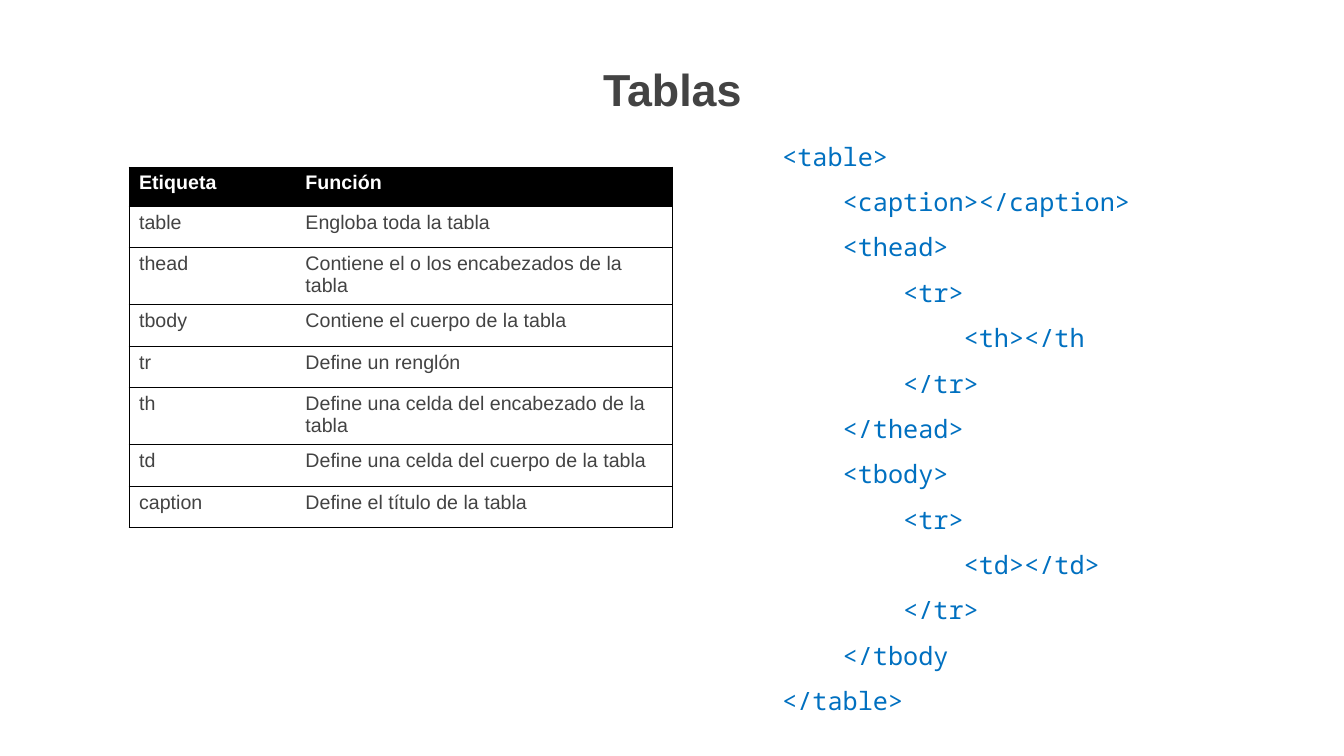
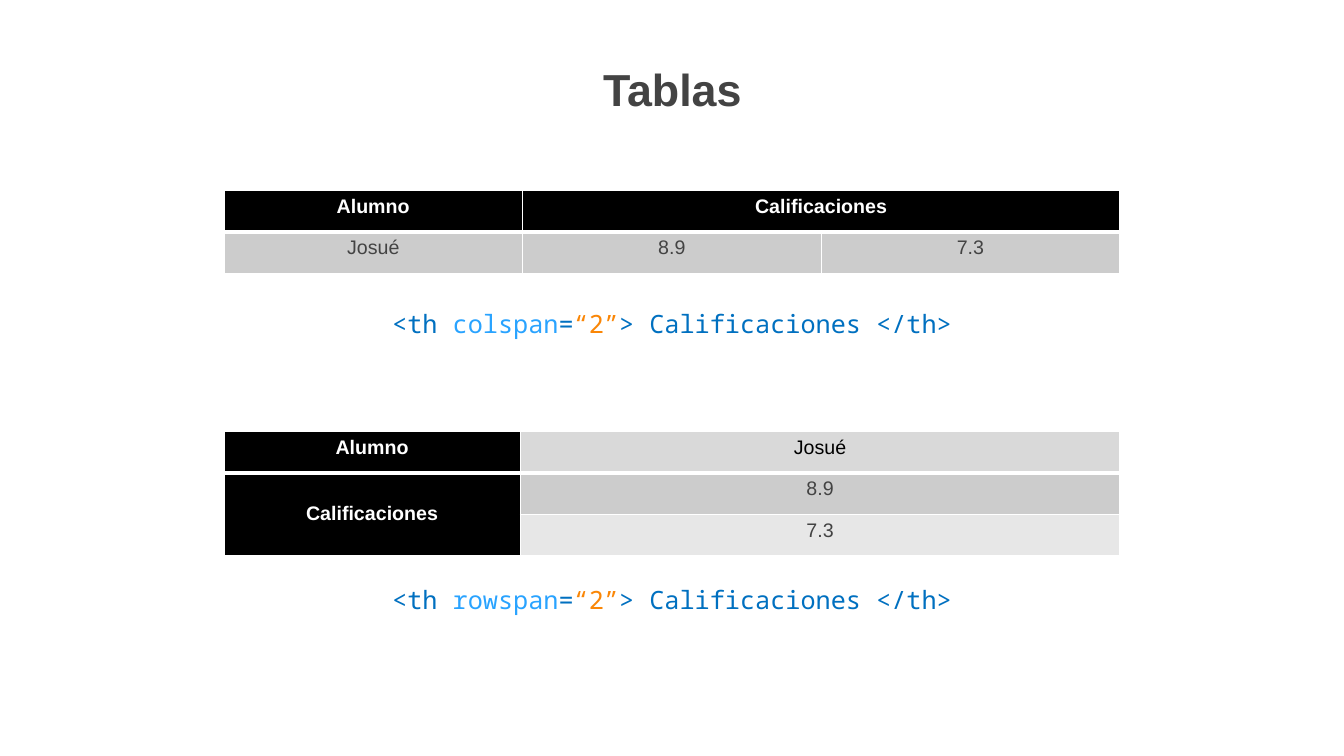
from dataclasses import dataclass

from lxml import etree
from pptx import Presentation
from pptx import util as u
from pptx.dml import color
from pptx.enum import text
from pptx.oxml import ns

WIDTH, HEIGHT = u.Inches(13.33), u.Inches(7.5)
PLAIN_TABLE = "{2D5ABB26-0587-4C30-8999-92F81FD0307C}"


@dataclass(frozen=True)
class Theme:
    sans: str = "Arial"
    mono: str = "Noto Sans Mono"
    title_size: int = 32
    code_size: int = 18
    cell_size: int = 14
    ink: str = "434343"
    black: str = "000000"
    white: str = "FFFFFF"
    tag: str = "0070C0"
    attribute: str = "29A3FF"
    value: str = "FA8606"
    band: str = "CCCCCC"
    light_band: str = "E7E7E7"
    soft: str = "D9D9D9"


THEME = Theme()


# Grid: one hundred columns by one hundred rows
def across(columns):
    return round(WIDTH * columns / 100)


def down(rows):
    return round(HEIGHT * rows / 100)


# Text
def write(para, *spans, font=THEME.sans, size=THEME.cell_size, ink=THEME.ink,
          bold=False, align=text.PP_ALIGN.LEFT, spacing=1.0, indent=0):
    """Fill a paragraph; a span is a string or a (string, colour) pair."""
    para.alignment = align
    para.line_spacing = spacing
    if indent:
        para._p.get_or_add_pPr().set("marL", str(u.Inches(indent)))
    for item in spans:
        words, tint = (item, ink) if isinstance(item, str) else item
        span = para.add_run()
        span.text = words
        span.font.name = font
        span.font.size = u.Pt(size)
        span.font.bold = bold
        span.font.color.rgb = color.RGBColor.from_string(tint)


def add_box(page, left, top, width, height):
    box = page.shapes.add_textbox(across(left), down(top), across(width), down(height))
    box.text_frame.word_wrap = True
    return box.text_frame


def add_title(page, words):
    frame = add_box(page, 21.53, 6.8, 57, 18.4)
    frame.margin_left = frame.margin_right = u.Inches(0.1)
    frame.margin_top = frame.margin_bottom = u.Inches(0.1)
    write(frame.paragraphs[0], words, size=THEME.title_size, bold=True,
          align=text.PP_ALIGN.CENTER)


def write_code(para, *spans, **options):
    write(para, *spans, font=THEME.mono, size=THEME.code_size, ink=THEME.tag,
          spacing=1.5, **options)


def add_code(page, lines):
    frame = add_box(page, 57.46, 16, 27.53, 79.47)
    for number, (level, tag) in enumerate(lines):
        para = frame.add_paragraph() if number else frame.paragraphs[0]
        write_code(para, tag, indent=0.6 * level)


def add_span_example(page, top, attribute):
    frame = add_box(page, 11.25, top, 77.5, 6.8)
    write_code(frame.paragraphs[0], "<th ", (attribute, THEME.attribute), "=",
               ("“2”", THEME.value), "> Calificaciones </th>",
               align=text.PP_ALIGN.CENTER)


# Tables
def add_table(page, left, top, columns, rows):
    frame = page.shapes.add_table(len(rows), len(columns), across(left), down(top),
                                  across(sum(columns)), down(sum(rows)))
    table = frame.table
    table.first_row = table.horz_banding = False
    table._tbl.tblPr.find(ns.qn("a:tableStyleId")).text = PLAIN_TABLE
    for column, width in zip(table.columns, columns):
        column.width = across(width)
    for row, height in zip(table.rows, rows):
        row.height = down(height)
    return table


def set_borders(cell, ink, **widths):
    """Draw the sides named L, R, T and B, in the order the schema asks for."""
    properties = cell._tc.get_or_add_tcPr()
    for side in "LRTB":
        if side in widths:
            line = etree.SubElement(properties, ns.qn(f"a:ln{side}"),
                                    w=str(u.Pt(widths[side])))
            fill = etree.SubElement(line, ns.qn("a:solidFill"))
            etree.SubElement(fill, ns.qn("a:srgbClr"), val=ink)


def set_fill(cell, tint):
    cell.fill.solid()
    cell.fill.fore_color.rgb = color.RGBColor.from_string(tint)


def add_tag_table(page, entries):
    heights = [5.2] + [5.47] * (len(entries) - 1)
    table = add_table(page, 9.6, 22.1, [12.38, 28.06], heights)
    for row, entry in enumerate(entries):
        header = row == 0
        for column, words in enumerate(entry):
            cell = table.cell(row, column)
            outer = "R" if column else "L"
            set_borders(cell, THEME.black, **{outer: 0.75, "T": 0.75, "B": 0.75})
            if header:
                set_fill(cell, THEME.black)
            write(cell.text_frame.paragraphs[0], words, bold=header,
                  ink=THEME.white if header else THEME.ink)


def add_grade_table(page, top, columns, entries, merge):
    """Entries are rows of (words, fill, ink); None stands for a merged cell."""
    table = add_table(page, 16.66, top, columns, [5.47] * len(entries))
    for row, entry in enumerate(entries):
        for column, content in enumerate(entry):
            cell = table.cell(row, column)
            set_borders(cell, THEME.white, L=1, R=1,
                        T=3 if row == 1 else 1, B=3 if row == 0 else 1)
            if content is None:
                continue
            words, fill, ink = content
            set_fill(cell, fill)
            write(cell.text_frame.paragraphs[0], words, ink=ink,
                  bold=fill == THEME.black, align=text.PP_ALIGN.CENTER)
    first, last = (table.cell(*place) for place in merge)
    first.merge(last)
    if merge[0][0] != merge[1][0]:
        first.vertical_anchor = text.MSO_ANCHOR.MIDDLE


def head(words):
    return words, THEME.black, THEME.white


def body(words, fill=THEME.band, ink=THEME.ink):
    return words, fill, ink


# Slides
def add_page(deck):
    page = deck.slides.add_slide(deck.slide_layouts[6])
    add_title(page, "Tablas")
    return page


def build_tags(deck):
    page = add_page(deck)
    add_tag_table(page, [
        ("Etiqueta", "Función"),
        ("table", "Engloba toda la tabla"),
        ("thead", "Contiene el o los encabezados de la tabla"),
        ("tbody", "Contiene el cuerpo de la tabla"),
        ("tr", "Define un renglón"),
        ("th", "Define una celda del encabezado de la tabla"),
        ("td", "Define una celda del cuerpo de la tabla"),
        ("caption", "Define el título de la tabla"),
    ])
    add_code(page, [
        (0, "<table>"),
        (1, "<caption></caption>"),
        (1, "<thead>"),
        (2, "<tr>"),
        (3, "<th></th"),
        (2, "</tr>"),
        (1, "</thead>"),
        (1, "<tbody>"),
        (2, "<tr>"),
        (3, "<td></td>"),
        (2, "</tr>"),
        (1, "</tbody"),
        (0, "</table>"),
    ])


def build_spans(deck):
    page = add_page(deck)
    add_grade_table(page, 25.2, [22.22] * 3, [
        [head("Alumno"), head("Calificaciones"), None],
        [body("Josué"), body("8.9"), body("7.3")],
    ], merge=((0, 1), (0, 2)))
    add_span_example(page, 38.13, "colspan")
    add_grade_table(page, 57.07, [22.06, 44.6], [
        [head("Alumno"), body("Josué", THEME.soft, THEME.black)],
        [head("Calificaciones"), body("8.9")],
        [None, body("7.3", THEME.light_band)],
    ], merge=((1, 0), (2, 0)))
    add_span_example(page, 74.67, "rowspan")


def main():
    deck = Presentation()
    deck.slide_width, deck.slide_height = WIDTH, HEIGHT
    build_tags(deck)
    build_spans(deck)
    deck.save("out.pptx")


main()
